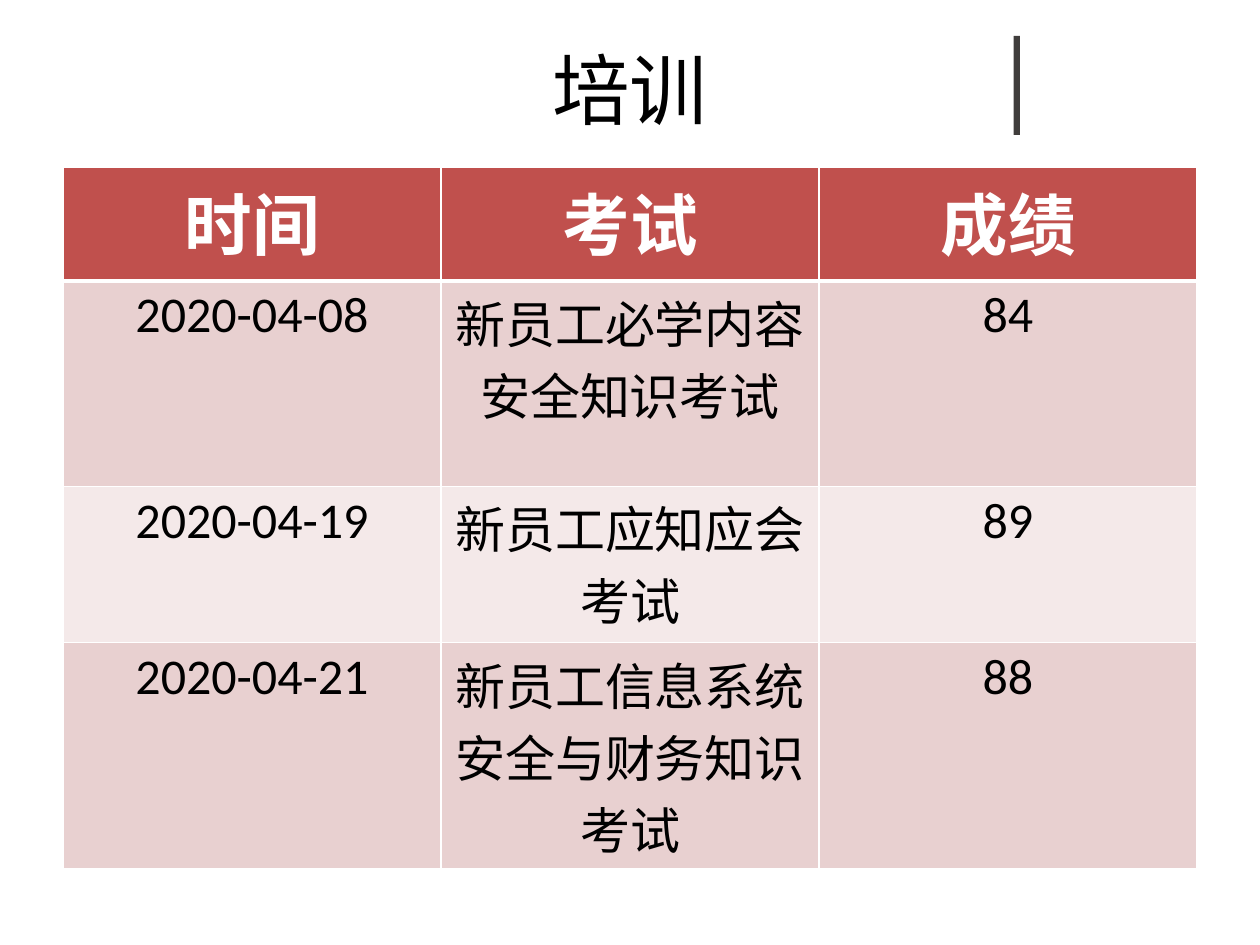
from lxml.etree import SubElement
from pptx import Presentation
from pptx.dml.color import RGBColor
from pptx.enum.shapes import MSO_SHAPE
from pptx.enum.text import MSO_ANCHOR, PP_ALIGN
from pptx.oxml.ns import qn
from pptx.util import Pt

COLORS = {
    "bar": "403D3C",
    "text": "000000",
    "white": "FFFFFF",
    "header": "C0504D",
    "odd": "E8D0D0",
    "even": "F4E9E9",
}
FONT = "Calibri"
HEADINGS = ("时间", "考试", "成绩")
RESULTS = (
    ("2020-04-08", "新员工必学内容安全知识考试", "84"),
    ("2020-04-19", "新员工应知应会考试", "89"),
    ("2020-04-21", "新员工信息系统安全与财务知识考试", "88"),
)
ROW_HEIGHTS = (90.72, 164.16, 125.28, 180.8)


def color(name):
    return RGBColor.from_string(COLORS[name])


def write(frame, text, size, ink, bold=False):
    para = frame.paragraphs[0]
    para.alignment = PP_ALIGN.CENTER
    span = para.add_run()
    span.text = text
    span.font.name = FONT
    span.font.size = Pt(size)
    span.font.bold = bold
    span.font.color.rgb = color(ink)


def set_borders(cell, bottom_width, top_width):
    properties = cell._tc.get_or_add_tcPr()
    for side, width in (("L", 1), ("R", 1), ("T", top_width), ("B", bottom_width)):
        line = SubElement(properties, qn(f"a:ln{side}"), w=str(Pt(width)))
        fill = SubElement(line, qn("a:solidFill"))
        SubElement(fill, qn("a:srgbClr"), val=COLORS["white"])


def add_accent_bar(page, left, top, width, height):
    bar = page.shapes.add_shape(
        MSO_SHAPE.RECTANGLE, Pt(left), Pt(top), Pt(width), Pt(height))
    bar.shadow.inherit = False
    bar.fill.solid()
    bar.fill.fore_color.rgb = color("bar")
    bar.line.fill.background()


def add_title(page, left, top, width, height):
    box = page.shapes.add_textbox(Pt(left), Pt(top), Pt(width), Pt(height))
    frame = box.text_frame
    frame.word_wrap = True
    frame.vertical_anchor = MSO_ANCHOR.TOP
    write(frame, "培训", 62, "text")


def add_results_table(page, left, top, width, height):
    rows = (HEADINGS, *RESULTS)
    table = page.shapes.add_table(
        len(rows), len(HEADINGS), Pt(left), Pt(top), Pt(width), Pt(height)).table
    for column in table.columns:
        column.width = Pt(width / len(HEADINGS))
    for row_index, texts in enumerate(rows):
        table.rows[row_index].height = Pt(ROW_HEIGHTS[row_index])
        is_header = row_index == 0
        shade = "header" if is_header else "odd" if row_index % 2 else "even"
        for column_index, text in enumerate(texts):
            cell = table.cell(row_index, column_index)
            set_borders(cell, 3 if is_header else 1, 3 if row_index == 1 else 1)
            cell.fill.solid()
            cell.fill.fore_color.rgb = color(shade)
            write(cell.text_frame, text, 54 if is_header else 40,
                  "white" if is_header else "text", is_header)


def main():
    deck = Presentation()
    deck.slide_width = Pt(1008)
    deck.slide_height = Pt(756)
    page = deck.slides.add_slide(deck.slide_layouts[6])
    add_accent_bar(page, 810.9, 28.8, 5.04, 79.2)
    add_title(page, 50.4, 30.24, 907.2, 126)
    add_results_table(page, 50.4, 134, 907.2, sum(ROW_HEIGHTS))
    deck.save("out.pptx")


if __name__ == "__main__":
    main()
